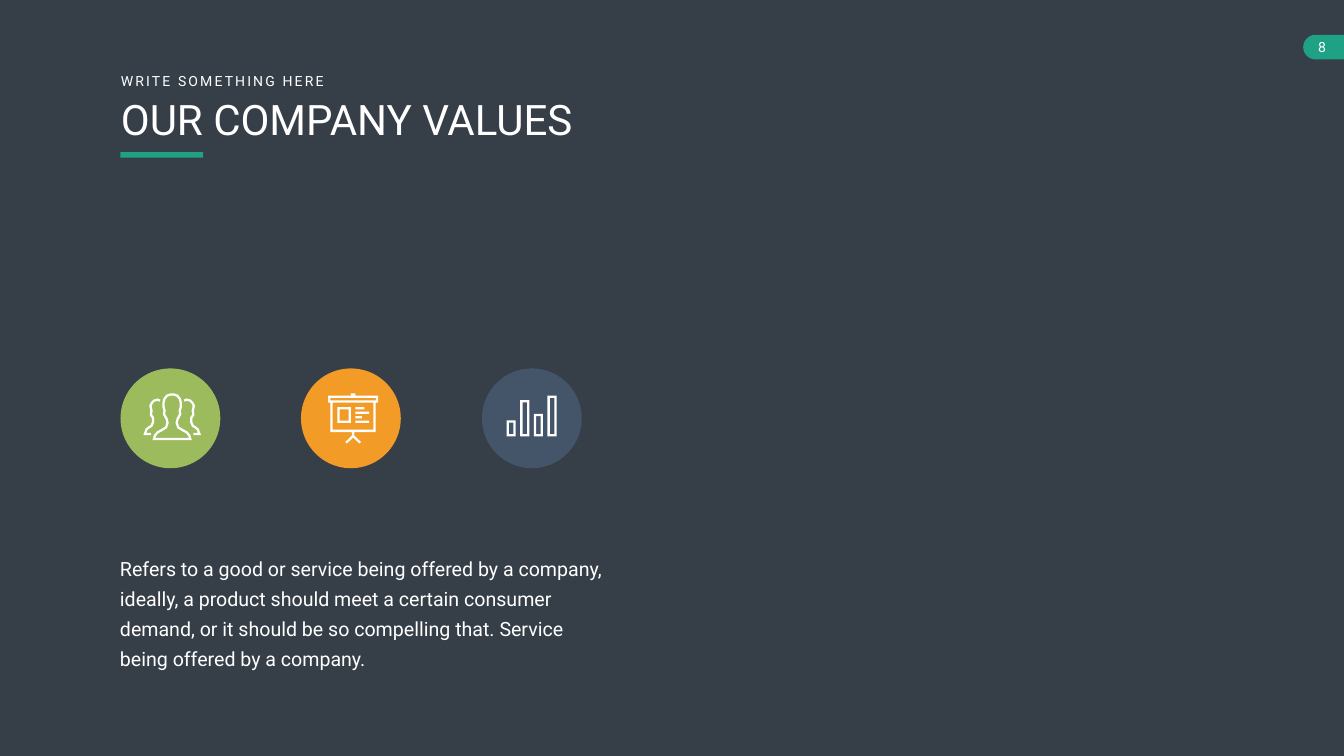
from dataclasses import dataclass
from math import hypot

from pptx import Presentation
from pptx.dml.color import RGBColor
from pptx.enum.shapes import MSO_SHAPE
from pptx.enum.text import MSO_ANCHOR, PP_ALIGN
from pptx.shapes.autoshape import Shape
from pptx.shapes.shapetree import GroupShapes
from pptx.util import Inches, Pt

RECTANGLE = MSO_SHAPE.RECTANGLE
OVAL = MSO_SHAPE.OVAL
DELAY = MSO_SHAPE.FLOWCHART_DELAY
LEFT, CENTER = PP_ALIGN.LEFT, PP_ALIGN.CENTER
TOP = MSO_ANCHOR.TOP

FONT = "Roboto"
WHITE, SLATE, TEAL = "FFFFFF", "363E48", "1EA185"
STROKE = 0.045
BADGE_TOP, BADGE_SIZE = 7.31, 1.98

Point = tuple[float, float]
Box = tuple[float, float, float, float]


@dataclass
class Line:
    """Centre line of one icon stroke."""
    points: list[Point]
    closed: bool = False


@dataclass
class Badge:
    left: float
    color: str
    icon: list[Line]


@dataclass
class Label:
    text: str
    box: Box
    size: float
    insets: Box = (0.1, 0.05, 0.1, 0.05)
    align: PP_ALIGN = LEFT
    wrap: bool = True
    line_spacing: float | None = None
    tracking: float = 0


def color(value: str) -> RGBColor:
    return RGBColor.from_string(value)


def paint(shape: Shape, fill: str) -> None:
    shape.shadow.inherit = False
    shape.fill.solid()
    shape.fill.fore_color.rgb = color(fill)
    shape.line.fill.background()


def add_block(shapes: GroupShapes, kind: MSO_SHAPE, box: Box, fill: str) -> Shape:
    shape = shapes.add_shape(kind, *map(Inches, box))
    paint(shape, fill)
    return shape


def add_label(shapes: GroupShapes, label: Label) -> None:
    frame = shapes.add_textbox(*map(Inches, label.box)).text_frame
    frame.word_wrap = label.wrap
    frame.vertical_anchor = TOP
    for side, inset in zip(("left", "top", "right", "bottom"), label.insets):
        setattr(frame, f"margin_{side}", Inches(inset))
    paragraph = frame.paragraphs[0]
    paragraph.alignment = label.align
    if label.line_spacing:
        paragraph.line_spacing = Pt(label.line_spacing)
    run = paragraph.add_run()
    run.text = label.text
    for name, value in {"name": FONT, "size": Pt(label.size)}.items():
        setattr(run.font, name, value)
    run.font.color.rgb = color(WHITE)
    if label.tracking:
        run.font._element.set("spc", str(round(label.tracking * 100)))


def offset(line: Line, distance: float) -> list[Point]:
    """Shift a centre line sideways, with mitred corners."""
    points, count = line.points, len(line.points)
    normals = []
    for index in range(count if line.closed else count - 1):
        (x1, y1), (x2, y2) = points[index], points[(index + 1) % count]
        length = hypot(x2 - x1, y2 - y1)
        normals.append(((y1 - y2) / length, (x2 - x1) / length))
    shifted = []
    for index, (x, y) in enumerate(points):
        before = normals[index - 1] if line.closed or index else normals[0]
        after = normals[min(index, len(normals) - 1)]
        factor = distance / (1 + before[0] * after[0] + before[1] * after[1])
        shifted.append((x + factor * (before[0] + after[0]),
                        y + factor * (before[1] + after[1])))
    return shifted


def add_icon(shapes: GroupShapes, icon: list[Line]) -> None:
    """Draw all strokes of an icon as one filled outline."""
    contours = []
    for line in icon:
        sides = [offset(line, STROKE / 2), offset(line, -STROKE / 2)[::-1]]
        contours += sides if line.closed else [sides[0] + sides[1]]
    contours = [[(Inches(x), Inches(y)) for x, y in contour] for contour in contours]
    builder = shapes.build_freeform(*contours[0][0])
    for contour in contours:
        if contour is not contours[0]:
            builder.move_to(*contour[0])
        builder.add_line_segments(contour[1:], close=True)
    paint(builder.convert_to_shape(), WHITE)


def frame_line(left: float, top: float, right: float, bottom: float) -> Line:
    """Closed stroke that fits inside the given edges."""
    half = STROKE / 2
    left, top, right, bottom = left + half, top + half, right - half, bottom - half
    return Line([(left, top), (right, top), (right, bottom), (left, bottom)], True)


def people_icon() -> list[Line]:
    middle = 3.415
    person = [(0.04, 7.83), (0.1, 7.85), (0.15, 7.91), (0.17, 7.98), (0.17, 8.08),
              (0.15, 8.15), (0.16, 8.22), (0.11, 8.31), (0.09, 8.39), (0.12, 8.48),
              (0.2, 8.53), (0.29, 8.58), (0.34, 8.64), (0.36, 8.71)]
    neighbour = [(0.24, 7.95), (0.29, 7.93), (0.36, 7.95), (0.4, 7.99), (0.43, 8.05),
                 (0.41, 8.15), (0.42, 8.23), (0.38, 8.29), (0.38, 8.38), (0.41, 8.45),
                 (0.46, 8.48), (0.51, 8.52), (0.54, 8.61), (0.42, 8.61)]

    def side(profile: list[Point], sign: int) -> list[Point]:
        return [(middle + sign * x, y) for x, y in profile]

    return [Line(side(person, 1) + side(person, -1)[::-1], True),
            Line(side(neighbour, 1)), Line(side(neighbour, -1))]


def board_icon() -> list[Line]:
    text_ends = [7.23, 7.32, 7.18, 7.32]
    rows = [Line([(7.05, 8.1 + 0.09 * row), (end, 8.1 + 0.09 * row)])
            for row, end in enumerate(text_ends)]
    return [frame_line(6.51, 7.85, 7.5, 7.99),
            Line([(6.575, 7.99), (6.575, 8.55), (7.43, 8.55), (7.43, 7.99)]),
            Line([(6.96, 7.83), (7.05, 7.83)]),
            Line([(7.005, 8.57), (7.005, 8.62)]),
            Line([(6.865, 8.785), (7.005, 8.65), (7.145, 8.785)]),
            frame_line(6.69, 8.08, 6.96, 8.39), *rows]


def bars_icon() -> list[Line]:
    lefts = [10.05 + 0.27 * index for index in range(4)]
    return [frame_line(left, top, left + 0.18, 8.66)
            for left, top in zip(lefts, (8.34, 7.94, 8.21, 7.85))]


def main() -> None:
    presentation = Presentation()
    presentation.slide_width, presentation.slide_height = Inches(26.66), Inches(15)
    slide = presentation.slides.add_slide(presentation.slide_layouts[6])
    slide.background.fill.solid()
    slide.background.fill.fore_color.rgb = color(SLATE)
    shapes = slide.shapes

    page_tab = shapes.add_group_shape().shapes
    add_block(page_tab, DELAY, (25.85, 0.69, 0.49, 0.49), TEAL).rotation = 180
    add_block(page_tab, RECTANGLE, (26.34, 0.69, 0.32, 0.49), TEAL)
    add_label(shapes, Label("8", (25.87, 0.67, 0.91, 0.54), 20,
                            (0.2, 0.1, 0.4, 0.1), CENTER, wrap=False))

    add_block(shapes, RECTANGLE, (0, 0, 16.03, 15), SLATE)
    add_label(shapes, Label(
        "Refers to a good or service being offered by a company, ideally, a product "
        "should meet a certain consumer demand, or it should be so compelling that. "
        "Service being offered by a company.",
        (2.14, 10.79, 10.2, 2.6), 28, (0.24, 0.12, 0.24, 0.12), line_spacing=43))

    heading = shapes.add_group_shape().shapes
    add_block(heading, RECTANGLE, (2.39, 3.02, 1.64, 0.11), TEAL)
    add_label(heading, Label("OUR COMPANY VALUES", (2.3, 1.81, 10.04, 1.11), 60))
    add_label(heading, Label("WRITE SOMETHING HERE", (2.3, 1.39, 4.35, 0.44), 20,
                             wrap=False, tracking=3))

    for badge in (Badge(9.56, "445469", bars_icon()),
                  Badge(2.39, "9BBB5C", people_icon()),
                  Badge(5.97, "F29B26", board_icon())):
        group = shapes.add_group_shape().shapes
        add_block(group, OVAL, (badge.left, BADGE_TOP, BADGE_SIZE, BADGE_SIZE), badge.color)
        add_icon(group, badge.icon)

    presentation.save("out.pptx")


if __name__ == "__main__":
    main()
